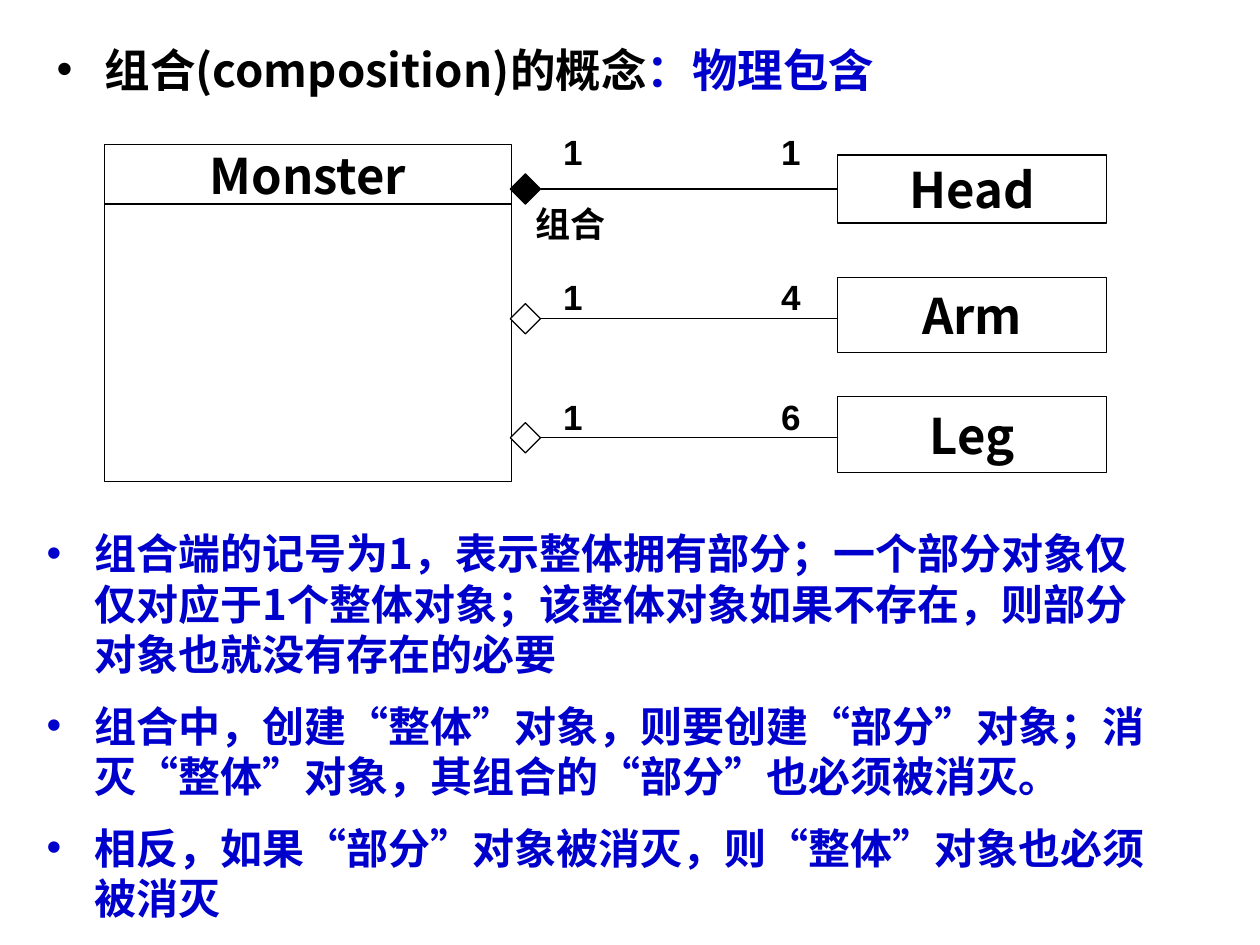
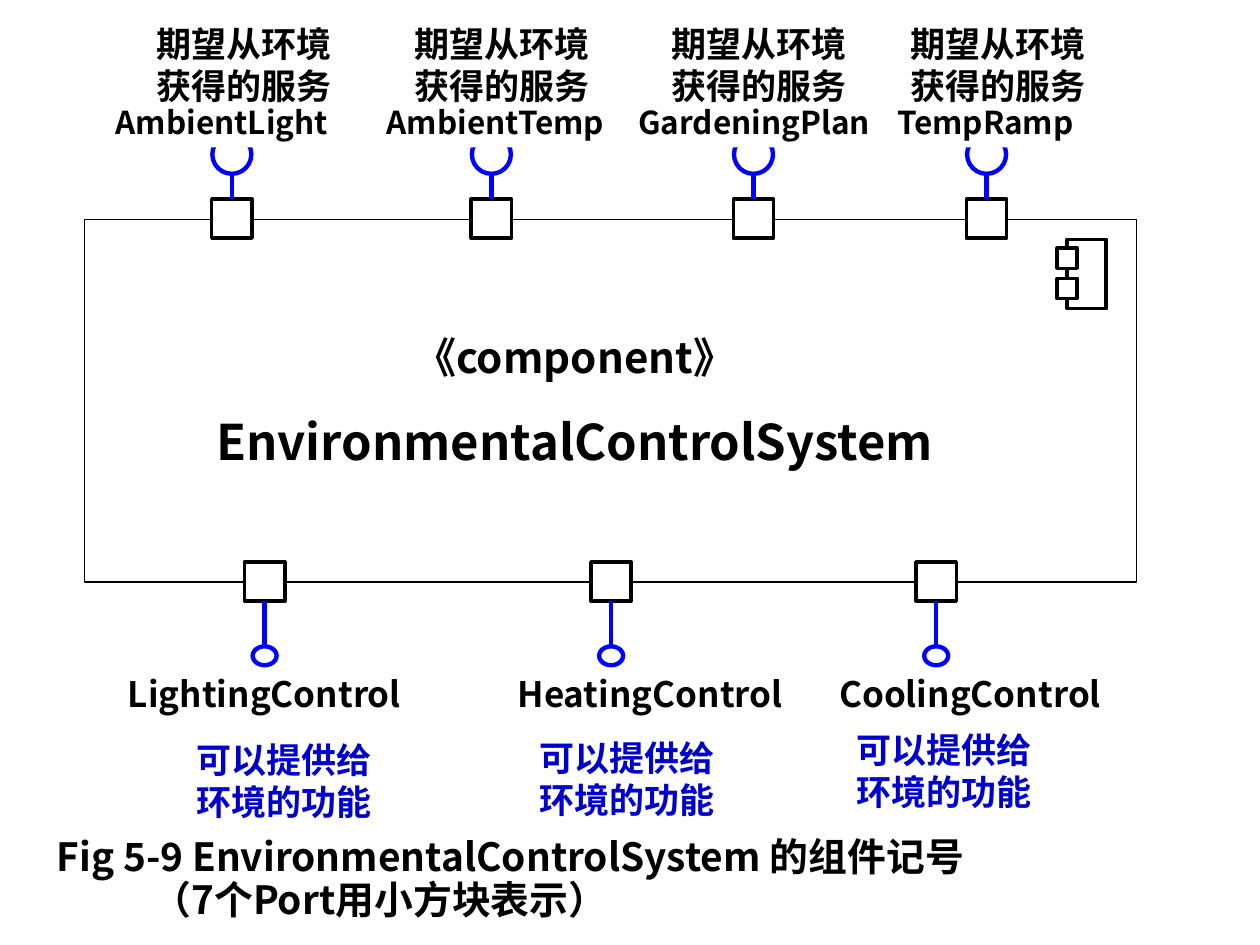
from lxml import etree
from pptx import Presentation
from pptx import util as u
from pptx.dml.color import RGBColor
from pptx.enum import shapes, text
from pptx.oxml import ns

CELL = u.Inches(0.1)
COLUMNS, ROWS = 100, 75
BLACK = RGBColor(0, 0, 0)
WHITE = RGBColor(255, 255, 255)
NAVY = RGBColor(0, 0, 0xCC)
BLUE = RGBColor(0, 0, 255)
SANS, ARIAL = "Noto Sans CJK SC", "Arial"
LEFT, CENTER = text.PP_ALIGN.LEFT, text.PP_ALIGN.CENTER
TOP, MIDDLE = text.MSO_ANCHOR.TOP, text.MSO_ANCHOR.MIDDLE
RECT = shapes.MSO_SHAPE.RECTANGLE
OVAL = shapes.MSO_SHAPE.OVAL
DIAMOND = shapes.MSO_SHAPE.DIAMOND


def cells(*counts):
    """Turn grid counts into slide lengths."""
    return [round(count * CELL) for count in counts]


def add_xml(parent, tag, **attributes):
    """Append a drawing element to a parent element."""
    return etree.SubElement(parent, ns.qn(tag), **attributes)


def set_bullet(para, color=None):
    """Give a paragraph a hanging bullet, or none without a colour."""
    props = para._p.get_or_add_pPr()
    indent = u.Inches(0.38)
    props.set("marL", str(indent))
    props.set("indent", str(-indent))
    if color is None:
        add_xml(props, "a:buNone")
        return
    add_xml(add_xml(props, "a:buClr"), "a:srgbClr", val=str(color))
    add_xml(props, "a:buFont", typeface=ARIAL)
    add_xml(props, "a:buChar", char="•")


def style(para, size, color=BLACK, face=SANS, align=LEFT):
    """Set the bold font and the alignment of a paragraph."""
    para.alignment = align
    font = para.font
    font.size, font.bold, font.name = u.Pt(size), True, face
    font.color.rgb = color
    add_xml(para._p.pPr.find(ns.qn("a:defRPr")), "a:ea", typeface=SANS)


def set_frame(frame, wrap=True, anchor=TOP, inset=(1, 0.5)):
    """Set wrapping, anchor and insets of a text frame."""
    frame.word_wrap = wrap
    frame.auto_size = text.MSO_AUTO_SIZE.NONE
    frame.vertical_anchor = anchor
    side, edge = cells(*inset)
    frame.margin_left = frame.margin_right = side
    frame.margin_top = frame.margin_bottom = edge


def write(frame, lines, size, **look):
    """Write equally styled paragraphs into a frame."""
    frame.text = "\n".join(lines)
    for para in frame.paragraphs:
        style(para, size, **look)


def add_label(page, place, lines, size=20, wrap=True, inset=(1, 0.5), **look):
    """Add a text box with one paragraph for each line."""
    box = page.shapes.add_textbox(*cells(*place))
    set_frame(box.text_frame, wrap, inset=inset)
    write(box.text_frame, lines, size, **look)
    return box


def add_figure(page, kind, place, line=BLACK, width=0.75, fill=WHITE):
    """Add a filled preset shape with an outline."""
    figure = page.shapes.add_shape(kind, *cells(*place))
    figure.shadow.inherit = False
    figure.fill.solid()
    figure.fill.fore_color.rgb = fill
    figure.line.color.rgb = line
    figure.line.width = u.Pt(width)
    return figure


def add_line(page, start, end, color=BLACK, width=0.75):
    """Add a straight connector without shadow."""
    line = page.shapes.add_connector(
        shapes.MSO_CONNECTOR.STRAIGHT, *cells(*start, *end))
    line.line.color.rgb = color
    line.line.width = u.Pt(width)
    add_xml(line._element.spPr, "a:effectLst")
    return line


def add_class(page, place, name):
    """Add a class box with its centred name."""
    box = add_figure(page, RECT, place)
    set_frame(box.text_frame, wrap=False, anchor=MIDDLE)
    write(box.text_frame, [name], 28, align=CENTER)
    return box


def add_part(page, name, top, height, axis, count_top, count, fill=WHITE):
    """Add a part class and its link to the whole."""
    part = add_class(page, (66.5, top, 21.3, height), name)
    diamond = add_figure(page, DIAMOND, (40.5, axis - 1.2, 2.4, 2.4), fill=fill)
    link = add_line(page, (42.9, axis), (66.5, axis))
    link.begin_connect(diamond, 3)
    if abs(top + height / 2 - axis) < 0.01:
        link.end_connect(part, 1)
    for left, number in ((43.7, "1"), (61, count)):
        add_label(page, (left, count_top, 3.9, 4.4), [number], face=ARIAL)


def add_port(page, center, top):
    """Add a port square around a centre column."""
    return add_figure(page, RECT, (center - 1.6, top, 3.2, 3.1), width=2)


def add_required(page, center, label_left, name, name_left, name_width, align, side):
    """Add a required service: socket, port and labels."""
    port = add_port(page, center, 15.8)
    stick = add_line(page, (center, 15.8), (center, 13.8), BLUE, 2.5)
    stick.begin_connect(port, 0)
    add_figure(page, OVAL, (center - 1.55, 10.7, 3.1, 3.1), BLUE, 2.5)
    plate = add_label(page, (name_left, 7.7, name_width, 4), [name], 18,
                      inset=(side, 0.5), align=align)
    plate.fill.solid()
    plate.fill.fore_color.rgb = WHITE
    add_label(page, (label_left, 1.3, 16.5, 7.7), ["期望从环境获得的服务"])


def add_provided(page, center, name, name_left, name_width, note_left, note_top):
    """Add a provided function: ball, port and labels."""
    port = add_port(page, center, 44.6)
    ball = add_figure(page, OVAL, (center - 0.95, 51.3, 1.9, 1.5), BLUE, 2.5)
    stick = add_line(page, (center, 47.7), (center, 51.3), BLUE, 2.5)
    stick.begin_connect(port, 2)
    stick.end_connect(ball, 0)
    add_label(page, (name_left, 52.9, name_width, 4.4), [name], align=CENTER)
    add_label(page, (note_left, note_top, 15.9, 7.7),
              ["可以提供给", "环境的功能"], wrap=False, color=NAVY)


def move(holder, place):
    """Place a placeholder on the grid and return its frame."""
    holder.left, holder.top, holder.width, holder.height = cells(*place)
    set_frame(holder.text_frame)
    return holder.text_frame


def fill_heading(page):
    """Write the two-coloured heading into the title."""
    para = move(page.shapes.title, (3.5, 2.8, 72.2, 6.3)).paragraphs[0]
    set_bullet(para, BLACK)
    for words, color in (("组合(composition)的概念", BLACK), ("：物理包含", NAVY)):
        span = para.add_run()
        span.text = words
        span.font.color.rgb = color
    style(para, 26)


def fill_rules(page, rules):
    """Write the bulleted rules into the body."""
    frame = move(page.placeholders[1], (2.7, 41.4, 90.6, 32.4))
    frame.text = "\n".join(rules)
    for index, para in enumerate(frame.paragraphs):
        para.space_before = u.Pt(6 if index else 0)
        para.space_after = u.Pt(6)
        set_bullet(para, NAVY)
        style(para, 24, NAVY)


def fill_caption(page, lines):
    """Write the figure caption into the body."""
    frame = move(page.placeholders[1], (3.5, 66.6, 90, 7.1))
    frame.text = "\n".join(lines)
    for index, para in enumerate(frame.paragraphs):
        para.line_spacing = 0.7
        para.space_before = u.Pt(6 if index else 0)
        set_bullet(para)
        style(para, 22.2)
    props = frame.paragraphs[1]._p.pPr
    props.set("marL", str(u.Inches(0.76)))
    props.set("indent", "0")


def build_composition(page):
    """Build the slide on composition."""
    fill_heading(page)
    add_class(page, (8.3, 11.5, 32.3, 4.7), "Monster")
    add_figure(page, RECT, (8.3, 16.2, 32.3, 22))
    add_part(page, "Head", 12.3, 5.4, 15, 9.9, "1", BLACK)
    add_part(page, "Arm", 22, 6, 25.3, 21.4, "4")
    add_part(page, "Leg", 31.5, 6, 34.75, 30.9, "6")
    add_label(page, (42.5, 16.1, 6.3, 3.3), ["组合"], inset=(0, 0), face=ARIAL)
    fill_rules(page, [
        "组合端的记号为1，表示整体拥有部分；一个部分对象仅仅对应于1个整体对象；"
        "该整体对象如果不存在，则部分对象也就没有存在的必要",
        "组合中，创建“整体”对象，则要创建“部分”对象；"
        "消灭“整体”对象，其组合的“部分”也必须被消灭。",
        "相反，如果“部分”对象被消灭，则“整体”对象也必须被消灭",
    ])


def build_component(page):
    """Build the slide on the component notation."""
    title = page.shapes.title
    title._element.getparent().remove(title._element)
    add_figure(page, RECT, (6.7, 17.4, 83.5, 28.8))
    for place in ((84.7, 19, 3.1, 5.5), (83.9, 19.7, 1.6, 1.6), (83.9, 22.1, 1.6, 1.6)):
        add_figure(page, RECT, place, width=2)
    name = add_label(page, (14.5, 23.8, 62.2, 14),
                     ["《component》", "EnvironmentalControlSystem"], 28, align=CENTER)
    for para, size in zip(name.text_frame.paragraphs, (24, 28)):
        para.line_spacing = 1.5
        para.font.size = u.Pt(size)
    for service in (
        (18.4, 11.4, "AmbientLight", 8.2, 19.7, LEFT, 1),
        (39, 31.9, "AmbientTemp", 29.7, 19.8, LEFT, 1),
        (59.8, 52.3, "GardeningPlan", 50, 19.7, CENTER, 0),
        (78.3, 71.3, "TempRamp", 69.7, 17, CENTER, 1),
    ):
        add_required(page, *service)
    for function in (
        (21, "LightingControl", 8.2, 25.6, 14.6, 58.1),
        (48.5, "HeatingControl", 39.5, 24.2, 41.8, 58),
        (74.3, "CoolingControl", 63.8, 26.4, 67, 57.3),
    ):
        add_provided(page, *function)
    fill_caption(page, ["Fig 5-9 EnvironmentalControlSystem 的组件记号",
                        "（7个Port用小方块表示）"])


def main():
    """Build and save the deck."""
    deck = Presentation()
    deck.slide_width, deck.slide_height = cells(COLUMNS, ROWS)
    for build in (build_composition, build_component):
        build(deck.slides.add_slide(deck.slide_layouts[1]))
    deck.save("out.pptx")


if __name__ == "__main__":
    main()
